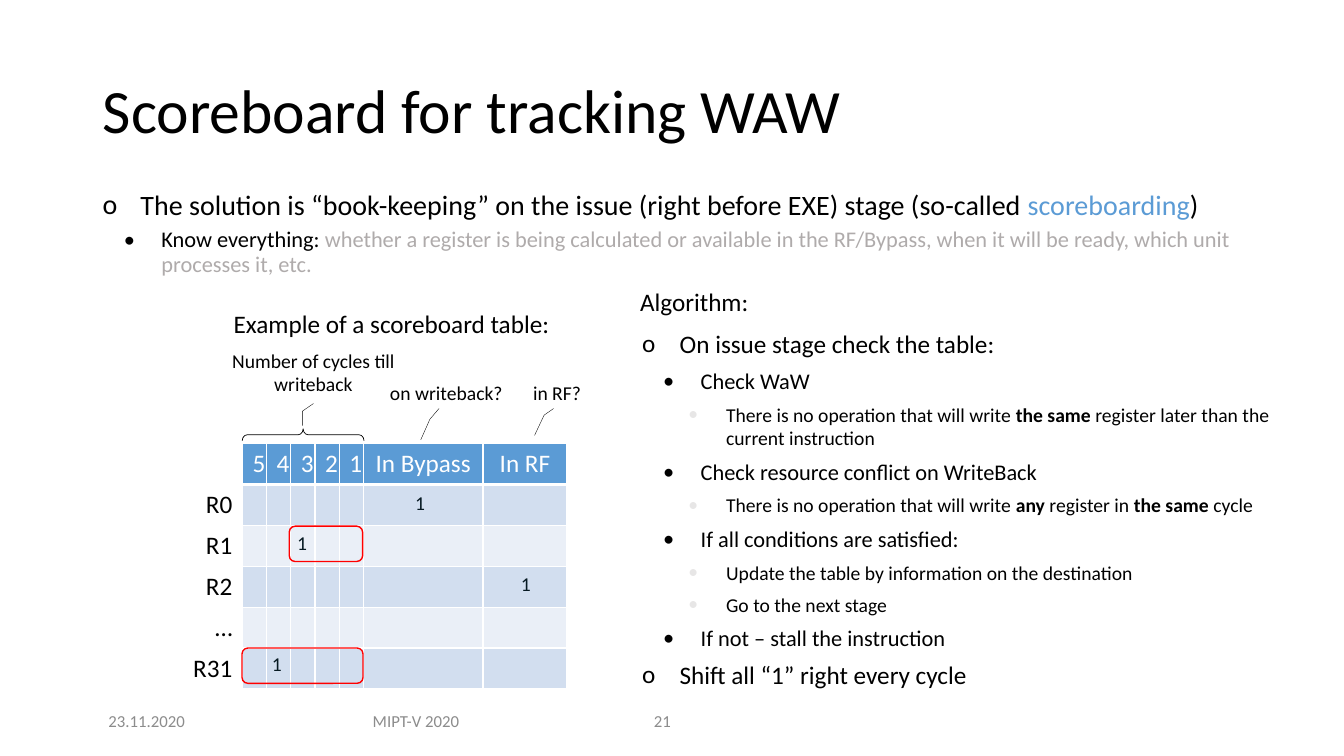
from dataclasses import dataclass

from lxml import etree
from pptx import Presentation
from pptx import util as u
from pptx.dml.color import RGBColor
from pptx.enum import shapes, text
from pptx.oxml import ns


@dataclass(frozen=True)
class Theme:
    font: str = "Calibri"
    black: str = "000000"
    white: str = "FFFFFF"
    accent: str = "5B9BD5"
    muted: str = "AFABAB"
    footer: str = "8C8C8C"
    mark: str = "061922"
    highlight: str = "FF0000"
    pale_bullet: str = "E7E6E6"
    bands: tuple = ("EAEFF7", "D2DEEF")
    title_size: int = 44
    lead_size: int = 20
    head_size: int = 18
    body_size: int = 16
    note_size: int = 14
    footer_size: int = 12


THEME = Theme()
LEFT, CENTER, RIGHT = text.PP_ALIGN.LEFT, text.PP_ALIGN.CENTER, text.PP_ALIGN.RIGHT
TOP, MIDDLE = text.MSO_ANCHOR.TOP, text.MSO_ANCHOR.MIDDLE
SHAPE = shapes.MSO_SHAPE
INDENTS = (0.95, 1.48, 2.12)
BULLETS = (("o", THEME.black), ("•", THEME.black), ("•", THEME.pale_bullet))


def rgb(value):
    return RGBColor.from_string(value)


def place(left, top, width, height):
    return [u.Cm(length) for length in (left, top, width, height)]


def style(para, size, color=THEME.black, align=LEFT):
    para.alignment = align
    para.font.name = THEME.font
    para.font.size = u.Pt(size)
    para.font.color.rgb = rgb(color)


def add_text(page, area, words, size, color=THEME.black, align=LEFT,
             anchor=TOP, wrap=True, spacing=None):
    box = page.shapes.add_textbox(*place(*area))
    frame = box.text_frame
    frame.word_wrap = wrap
    frame.vertical_anchor = anchor
    if not wrap:
        frame.auto_size = text.MSO_AUTO_SIZE.SHAPE_TO_FIT_TEXT
    para = frame.paragraphs[0]
    para.text = words
    para.line_spacing = spacing
    style(para, size, color, align)


def set_bullet(para, level):
    para.level = level
    char, color = BULLETS[level]
    props = para._p.get_or_add_pPr()
    props.set("marL", str(u.Cm(INDENTS[level])))
    props.set("indent", str(-u.Cm(INDENTS[0])))
    tint = etree.SubElement(props, ns.qn("a:buClr"))
    etree.SubElement(tint, ns.qn("a:srgbClr"), val=color)
    etree.SubElement(props, ns.qn("a:buFont"), typeface=THEME.font)
    etree.SubElement(props, ns.qn("a:buChar"), char=char)


def add_outline(page, area, items, sizes, gap, spacing=None, inset=None):
    frame = page.shapes.add_textbox(*place(*area)).text_frame
    frame.word_wrap = True
    if inset is not None:
        frame.margin_left = frame.margin_right = u.Cm(inset)
        frame.margin_top = frame.margin_bottom = u.Cm(inset)
    for index, (level, *spans) in enumerate(items):
        para = frame.add_paragraph() if index else frame.paragraphs[0]
        set_bullet(para, level)
        para.line_spacing = spacing
        if index:
            para.space_before = u.Pt(gap)
        style(para, sizes[level])
        for words, look in spans:
            span = para.add_run()
            span.text = words
            if look == "bold":
                span.font.bold = True
            elif look:
                span.font.color.rgb = rgb(look)


def add_outlined(page, kind, area, line, width, fill=None, adjust=()):
    shape = page.shapes.add_shape(kind, *place(*area))
    shape.shadow.inherit = False
    if fill:
        shape.fill.solid()
        shape.fill.fore_color.rgb = rgb(fill)
    else:
        shape.fill.background()
    shape.line.color.rgb = rgb(line)
    shape.line.width = u.Pt(width)
    for index, value in enumerate(adjust):
        shape.adjustments[index] = value
    return shape


def add_callout(page, area, words, adjust):
    callout = add_outlined(page, SHAPE.LINE_CALLOUT_2_NO_BORDER, area,
                           THEME.black, 0.25, adjust=adjust)
    frame = callout.text_frame
    frame.word_wrap = True
    frame.vertical_anchor = MIDDLE
    frame.paragraphs[0].text = words
    style(frame.paragraphs[0], THEME.note_size, align=CENTER)


def set_borders(cell, row):
    props = cell._tc.get_or_add_tcPr()
    for side in "LRTB":
        width = 3 if (row, side) in ((0, "B"), (1, "T")) else 1
        line = etree.SubElement(props, ns.qn(f"a:ln{side}"), w=str(u.Pt(width)))
        fill = etree.SubElement(line, ns.qn("a:solidFill"))
        etree.SubElement(fill, ns.qn("a:srgbClr"), val=THEME.white)


def add_scoreboard(page):
    header = ("", "5", "4", "3", "2", "1", "In Bypass", "In RF")
    registers = ("R0", "R1", "R2", "…", "R31")
    widths = (1.94, *[0.61] * 5, 3.01, 2.12)
    height = 1.03
    rows = [header] + [(name, *[""] * 7) for name in registers]
    area = place(4.17, 11.18, sum(widths), height * len(rows))
    table = page.shapes.add_table(len(rows), len(header), *area).table
    table.first_row = table.horz_banding = False
    for column, width in zip(table.columns, widths):
        column.width = u.Cm(width)
    for r, row in enumerate(rows):
        table.rows[r].height = u.Cm(height)
        for c, words in enumerate(row):
            cell = table.cell(r, c)
            set_borders(cell, r)
            if c:
                cell.fill.solid()
                cell.fill.fore_color.rgb = rgb(THEME.bands[r % 2] if r else THEME.accent)
            else:
                cell.fill.background()
            para = cell.text_frame.paragraphs[0]
            para.text = words
            style(para, THEME.head_size, THEME.black if r else THEME.white,
                  CENTER if c else RIGHT)


def main():
    deck = Presentation()
    deck.slide_width, deck.slide_height = u.Cm(33.87), u.Cm(19.05)
    page = deck.slides.add_slide(deck.slide_layouts[6])

    add_text(page, (2.34, 1.02, 29.21, 3.68), "Scoreboard for tracking WAW",
             THEME.title_size, anchor=MIDDLE, spacing=0.9)
    solution = [
        (0, ("The solution is “book-keeping” on the issue (right before EXE) stage (so-called ", None),
         ("scoreboarding", THEME.accent), (")", None)),
        (1, ("Know everything: ", None),
         ("whether a register is being calculated or available in the RF/Bypass, "
          "when it will be ready, which unit processes it, etc.", THEME.muted)),
    ]
    add_outline(page, (2.34, 4.7, 29.21, 2.6), solution,
                (THEME.lead_size, THEME.body_size), 5, spacing=0.9)

    add_scoreboard(page)
    for area in ((7.29, 13.26, 1.85, 0.89), (6.1, 16.33, 3.05, 0.89)):
        add_outlined(page, SHAPE.ROUNDED_RECTANGLE, area, THEME.highlight, 1)
    for left, top in ((12.88, 14.4), (10.21, 12.37), (7.24, 13.36), (6.6, 16.41)):
        add_text(page, (left, top, 0.76, 0.74), "1", THEME.note_size,
                 THEME.mark, wrap=False, spacing=0.8)

    brace = add_outlined(page, SHAPE.RIGHT_BRACE, (7.49, 9.42, 0.3, 3.07),
                         THEME.black, 0.5, THEME.white, (0.42, 0.5))
    brace.rotation = 270
    add_callout(page, (5.59, 8.51, 4.62, 1.73), "Number of cycles till writeback",
                (0.96, 0.5, 1.07, 0.44, 1.28, 0.44))
    add_callout(page, (8.94, 9.37, 4.62, 1.04), "on writeback?",
                (0.89, 0.46, 1.15, 0.41, 1.65, 0.36))
    add_callout(page, (12.95, 9.37, 2.18, 1.04), "in RF?",
                (0.89, 0.46, 1.05, 0.35, 1.54, 0.24))

    algorithm = [
        (0, ("On issue stage check the table:", None)),
        (1, ("Check WaW", None)),
        (2, ("There is no operation that will write ", None), ("the same ", "bold"),
         ("register later than the current instruction", None)),
        (1, ("Check resource conflict on WriteBack", None)),
        (2, ("There is no operation that will write ", None), ("any", "bold"),
         (" register in ", None), ("the same ", "bold"), ("cycle", None)),
        (1, ("If all conditions are satisfied:", None)),
        (2, ("Update the table by information on the destination", None)),
        (2, ("Go to the next stage", None)),
        (1, ("If not – stall the instruction", None)),
        (0, ("Shift all “1” right every cycle", None)),
    ]
    add_outline(page, (16.18, 8.28, 16.15, 10.7), algorithm,
                (THEME.head_size, THEME.body_size, THEME.note_size), 6, inset=0)
    for area, words in (((5.64, 7.65, 8.71, 1.02), "Example of a scoreboard table:"),
                        ((15.88, 7.09, 4, 1.02), "Algorithm:")):
        add_text(page, area, words, THEME.head_size)

    for left, width, words, align in ((2.34, 2.72, "23.11.2020", CENTER),
                                      (8.48, 4.01, "MIPT-V 2020", CENTER),
                                      (16.23, 2.01, "21", LEFT)):
        add_text(page, (left, 17.65, width, 1.02), words, THEME.footer_size,
                 THEME.footer, align, MIDDLE)
    deck.save("out.pptx")


if __name__ == "__main__":
    main()
